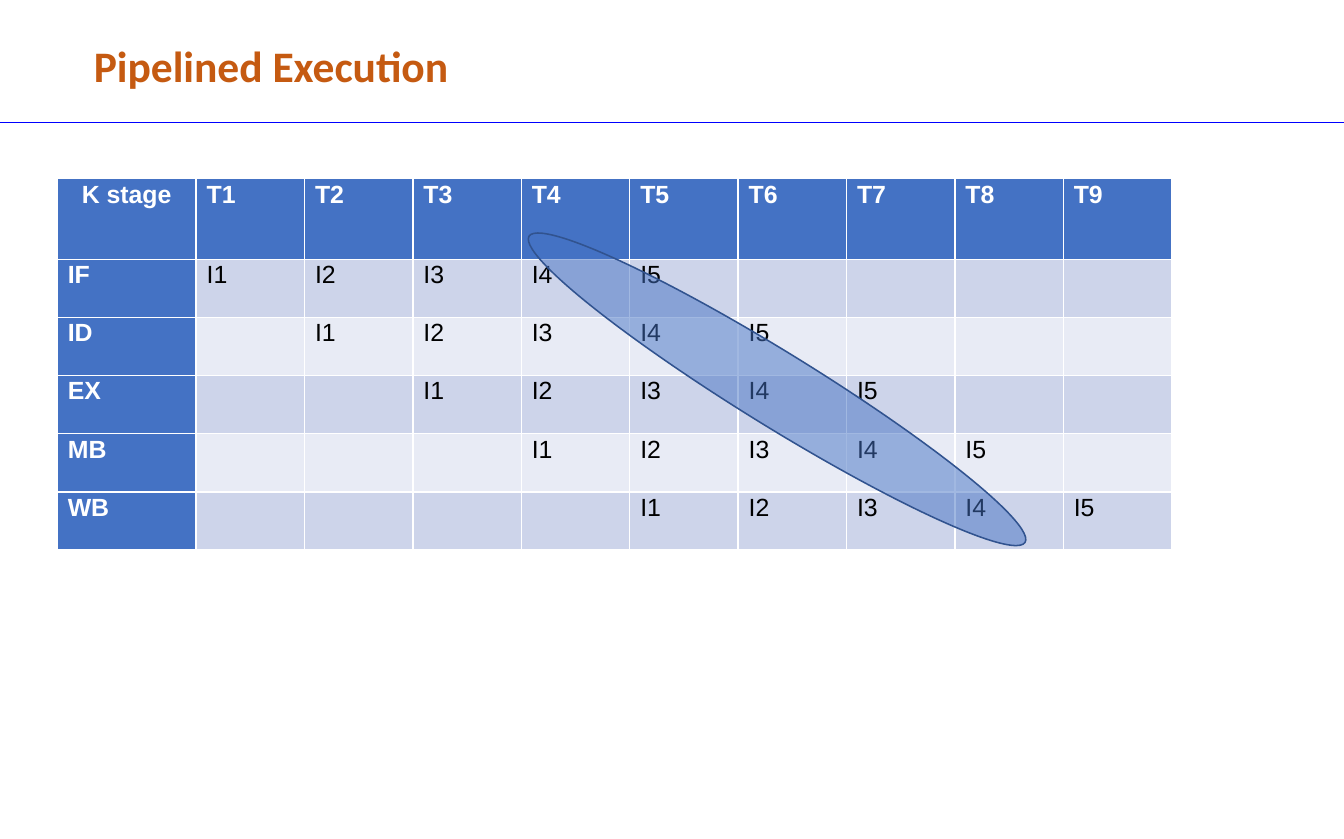
from lxml import etree
from pptx import Presentation
from pptx.dml.color import RGBColor
from pptx.enum import shapes, text
from pptx.oxml import ns
from pptx.util import Cm, Pt

COLORS = {
    "rule": "0000FF",
    "head": "4472C4",
    "odd": "CDD4EA",
    "even": "E8EBF5",
    "edge": "31538F",
    "title": "C55A11",
    "light": "FFFFFF",
    "dark": "000000",
}
STAGES = ["IF", "ID", "EX", "MB", "WB"]
STEPS = 9
ORDERS = 5


def rgb(name):
    return RGBColor.from_string(COLORS[name])


def style(font, face, size, color, bold):
    font.name = face
    font.size = Pt(size)
    font.bold = bold
    font.color.rgb = rgb(color)


prs = Presentation()
prs.slide_width = Cm(30.5)
prs.slide_height = Cm(19.05)
slide = prs.slides.add_slide(prs.slide_layouts[6])

# Rule under the title
rule = slide.shapes.add_connector(
    shapes.MSO_CONNECTOR.STRAIGHT, 0, Cm(2.79), prs.slide_width, Cm(2.79))
rule.line.color.rgb = rgb("rule")
rule.line.width = Pt(0.75)
etree.SubElement(rule.element.spPr, ns.qn("a:effectLst"))

# Each stage runs one time step behind the stage above it
rows = [["K stage"] + [f"T{step + 1}" for step in range(STEPS)]]
for lag, stage in enumerate(STAGES):
    orders = [f"I{num + 1}" for num in range(ORDERS)]
    rows.append([stage] + [""] * lag + orders + [""] * (STEPS - ORDERS - lag))

widths = [3.15] + [2.46] * STEPS
heights = [1.83] + [1.32] * len(STAGES)
table = slide.shapes.add_table(
    len(rows), len(widths), Cm(1.3), Cm(4.06),
    Cm(sum(widths)), Cm(sum(heights))).table
table.first_col = True
for col, width in zip(table.columns, widths):
    col.width = Cm(width)
for row, height in zip(table.rows, heights):
    row.height = Cm(height)

for r, words in enumerate(rows):
    for c, word in enumerate(words):
        cell = table.cell(r, c)
        head = r == 0 or c == 0
        band = "odd" if r % 2 else "even"
        cell.fill.solid()
        cell.fill.fore_color.rgb = rgb("head" if head else band)
        cell.margin_left = cell.margin_right = Cm(0.24)
        cell.margin_top = cell.margin_bottom = 0
        cell.text_frame.text = word
        para = cell.text_frame.paragraphs[0]
        para.line_spacing = 1.07
        if r == c == 0:
            para.alignment = text.PP_ALIGN.CENTER
        for run in para.runs:
            style(run.font, "Arial", 16, "light" if head else "dark", head)

# Ellipse along the path of I4
oval = slide.shapes.add_shape(
    shapes.MSO_SHAPE.OVAL, Cm(11.02), Cm(8), Cm(13.23), Cm(1.68))
oval.rotation = 31.7
oval.shadow.inherit = False
oval.fill.solid()
oval.fill.fore_color.rgb = rgb("head")
tint = oval.element.spPr.find(ns.qn("a:solidFill"))[0]
etree.SubElement(tint, ns.qn("a:alpha"), val="50000")
oval.line.color.rgb = rgb("edge")
oval.line.width = Pt(1)

# Title
title = slide.shapes.add_textbox(Cm(1.88), Cm(0.76), Cm(10.39), Cm(1.45))
frame = title.text_frame
frame.word_wrap = True
frame.auto_size = text.MSO_AUTO_SIZE.SHAPE_TO_FIT_TEXT
frame.text = "Pipelined Execution"
style(frame.paragraphs[0].runs[0].font, "Calibri", 28, "title", True)

prs.save("out.pptx")
